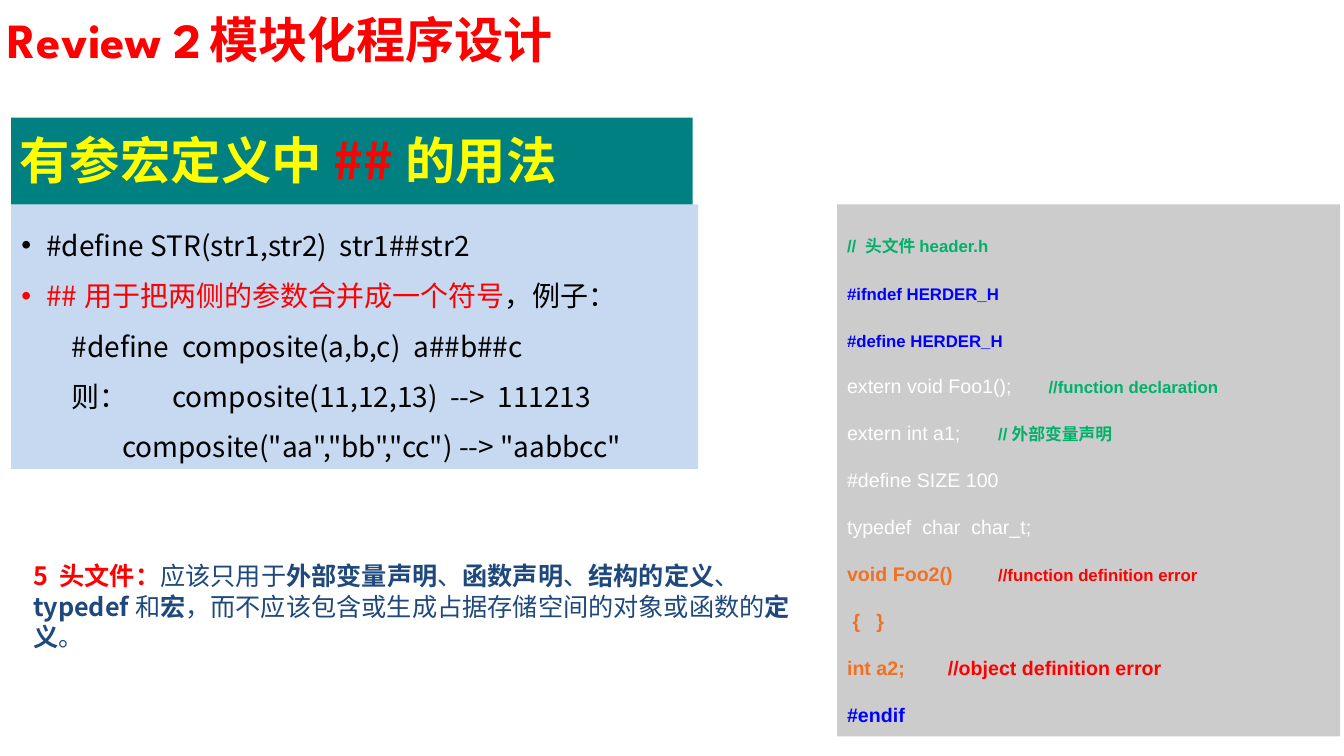
"""Build the review slide on modular programming: macro pasting and header files."""
from pptx import Presentation
from pptx.dml.color import RGBColor
from pptx.enum import shapes, text
from pptx.oxml import ns, xmlchemy
from pptx.util import Pt

RED = RGBColor(0xFF, 0x00, 0x00)
BLACK = RGBColor(0x00, 0x00, 0x00)
YELLOW = RGBColor(0xFF, 0xFF, 0x00)
WHITE = RGBColor(0xFF, 0xFF, 0xFF)
NAVY = RGBColor(0x1F, 0x49, 0x7D)
BLUE = RGBColor(0x00, 0x00, 0xFF)
GREEN = RGBColor(0x00, 0xB1, 0x6A)
ORANGE = RGBColor(0xF3, 0x70, 0x21)
TEAL = RGBColor(0x00, 0x80, 0x80)
PALE_BLUE = RGBColor(0xC6, 0xD9, 0xF1)
GREY = RGBColor(0xCC, 0xCC, 0xCC)
CJK, DISPLAY, CODE = "Noto Sans CJK SC", "League Spartan", "Arial"

# Spans are (text, colour, bold).
TITLE = [("Review 2\t模块化程序设计", RED, True)]
BANNER = [("有参宏定义中", YELLOW, True), ("##", RED, True), ("的用法", YELLOW, True)]
# Macro rows are (left margin, bulleted, tab stop, spans).
MACROS = [
    (18, True, None, [("#define STR(str1,str2)  str1##str2", BLACK, False)]),
    (18, True, None, [("##用于把两侧的参数合并成一个符号", RED, False),
                      ("，例子：", BLACK, False)]),
    (36, False, None, [("#define  composite(a,b,c)  a##b##c", BLACK, False)]),
    (36, False, 81, [("则：\tcomposite(11,12,13)  -->  111213", BLACK, False)]),
    (72, False, None, [('composite("aa","bb","cc") --> "aabbcc"', BLACK, False)]),
]
HEADER_RULE = [
    ("5 头文件：", RED, True), ("应该只用于", NAVY, False), ("外部变量声明", NAVY, True),
    ("、", NAVY, False), ("函数声明", NAVY, True), ("、", NAVY, False),
    ("结构的定义", NAVY, True), ("、", NAVY, False), ("typedef", NAVY, True),
    ("和", NAVY, False), ("宏", NAVY, True),
    ("，而不应该包含或生成占据存储空间的对象或函数的", NAVY, False),
    ("定义", NAVY, True), ("。", NAVY, False),
]
# Code rows are (size, spans, comment tab stop, comment size, comment span).
LISTING = [
    (12, ("// 头文件header.h", GREEN, True), None, None, None),
    (12, ("#ifndef HERDER_H", BLUE, True), None, None, None),
    (12, ("#define HERDER_H", BLUE, True), None, None, None),
    (14, ("extern void Foo1();", WHITE, False), 134, 12, ("//function declaration", GREEN, True)),
    (14, ("extern int a1;", WHITE, False), 136, 12, ("//外部变量声明", GREEN, True)),
    (14, ("#define SIZE 100", WHITE, False), None, None, None),
    (14, ("typedef  char  char_t;", WHITE, False), None, None, None),
    (14, ("void Foo2()", ORANGE, True), 119, 12, ("//function definition error", RED, True)),
    (14, (" {   }", ORANGE, True), None, None, None),
    (14, ("int a2;", ORANGE, True), 116, 14, ("//object definition error", RED, True)),
    (14, ("#endif", BLUE, True), None, None, None),
]


def place(box, left, top, width, height, fill=None, anchor=text.MSO_ANCHOR.TOP,
          insets=(7.2, 3.6, 7.2, 3.6)):
    """Position a box, paint it and return its text frame."""
    box.left, box.top, box.width, box.height = map(Pt, (left, top, width, height))
    if fill is not None:
        box.fill.solid()
        box.fill.fore_color.rgb = fill
    frame = box.text_frame
    frame.word_wrap = True
    frame.auto_size = text.MSO_AUTO_SIZE.NONE
    frame.vertical_anchor = anchor
    (frame.margin_left, frame.margin_top,
     frame.margin_right, frame.margin_bottom) = map(Pt, insets)
    return frame


def add_rectangle(page):
    """Add a plain rectangle without outline or shadow."""
    box = page.shapes.add_shape(shapes.MSO_SHAPE.RECTANGLE, 0, 0, 0, 0)
    box.shadow.inherit = False
    box.line.fill.background()
    return box


def add_child(parent, tag, **attributes):
    """Append a DrawingML element with the given attributes."""
    child = xmlchemy.OxmlElement(tag)
    for name, value in attributes.items():
        child.set(name, str(value))
    parent.append(child)
    return child


def write(frame, index, spans, size, font, spacing=None, margin=0, bulleted=False, tab=None):
    """Write one paragraph of coloured spans and return it."""
    para = frame.paragraphs[0] if index == 0 else frame.add_paragraph()
    para.alignment = text.PP_ALIGN.LEFT
    para.space_before = Pt(0)
    if spacing:
        para.line_spacing = Pt(spacing)
    layout = para._p.get_or_add_pPr()
    layout.set("marL", str(Pt(margin)))
    layout.set("indent", str(-Pt(margin) if bulleted else 0))
    if bulleted:
        add_child(layout, "a:buChar", char="•")
    else:
        add_child(layout, "a:buNone")
    if tab:
        stops = add_child(layout, "a:tabLst")
        add_child(stops, "a:tab", pos=Pt(tab), algn="l")
    para.font.size, para.font.name = Pt(size), font
    add_child(layout.find(ns.qn("a:defRPr")), "a:ea", typeface=CJK)
    for words, colour, bold in spans:
        span = para.add_run()
        span.text = words
        span.font.color.rgb = colour
        span.font.bold = bold
    return para


def main():
    """Compose the slide and save it."""
    deck = Presentation()
    deck.slide_width, deck.slide_height = Pt(960.48), Pt(540)
    page = deck.slides.add_slide(deck.slide_layouts[1])
    middle = text.MSO_ANCHOR.MIDDLE

    title = place(page.shapes.title, -1.5, 1.6, 496, 52.6, anchor=middle)
    write(title, 0, TITLE, 35.1, DISPLAY, tab=166)

    macros = place(page.placeholders[1], 8, 146, 491, 189, PALE_BLUE,
                   insets=(7.2, 5, 0, 0))
    for index, (margin, bulleted, tab, spans) in enumerate(MACROS):
        write(macros, index, spans, 20, CJK, 36, margin, bulleted, tab)

    banner = place(add_rectangle(page), 8, 84, 487, 62, TEAL, middle, (6, 3, 6, 6))
    write(banner, 0, BANNER, 36, CJK)

    rule = place(page.shapes.add_textbox(0, 0, 0, 0), 16.5, 397, 563, 73)
    write(rule, 0, HEADER_RULE, 18, CJK, 21.6)

    listing = place(add_rectangle(page), 598.3, 146, 359.5, 380, GREY)
    for index, (size, code, tab, comment_size, comment) in enumerate(LISTING):
        para = write(listing, index, [code], size, CODE, 33.6, tab=tab)
        if comment:
            words, colour, bold = comment
            span = para.add_run()
            span.text = "\t" + words
            span.font.size = Pt(comment_size)
            span.font.color.rgb = colour
            span.font.bold = bold

    deck.save("out.pptx")


if __name__ == "__main__":
    main()
